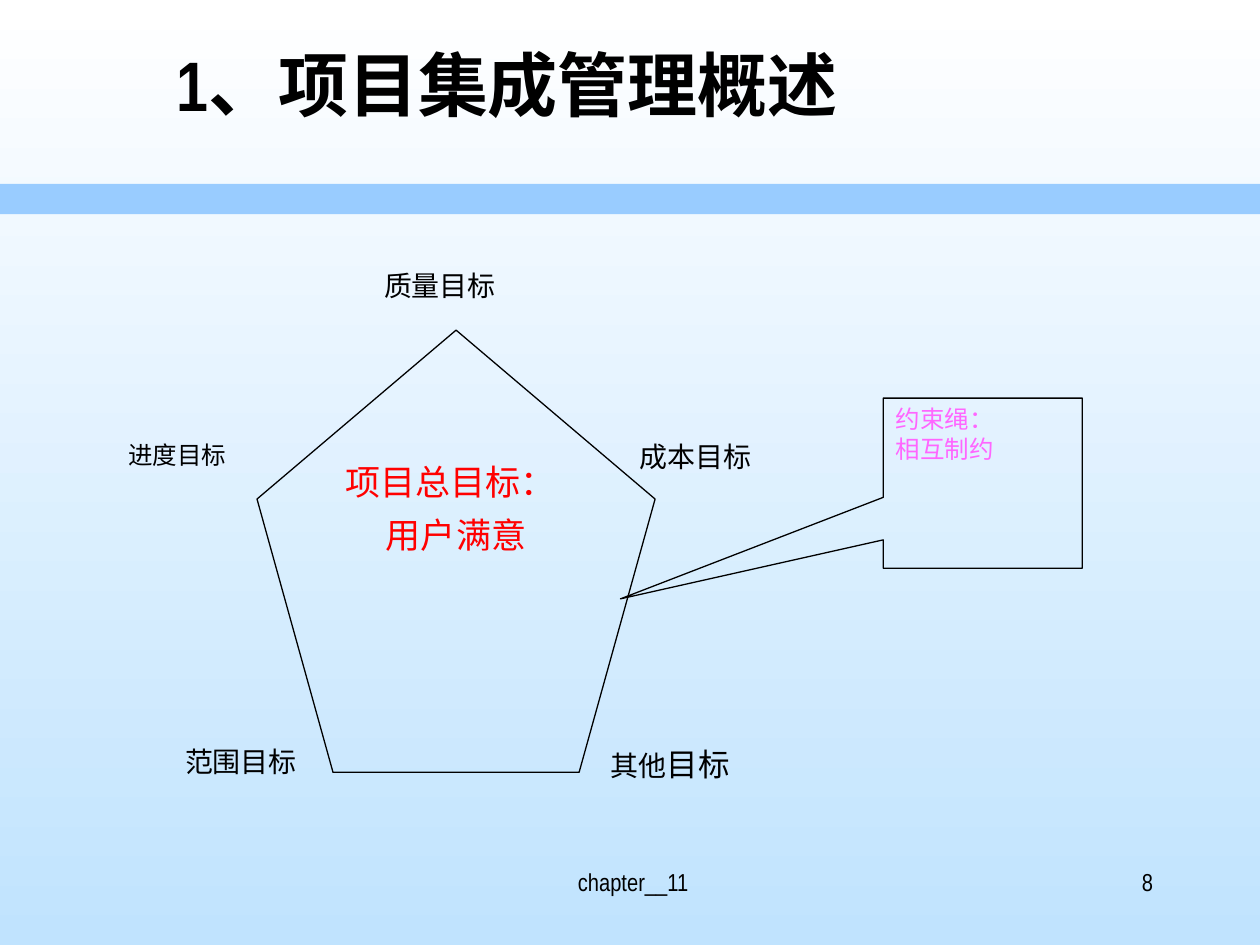
from pptx import Presentation
from pptx.dml.color import RGBColor
from pptx.enum.shapes import MSO_SHAPE as SHAPE
from pptx.enum.text import MSO_ANCHOR as ANCHOR, MSO_AUTO_SIZE as AUTO, PP_ALIGN as ALIGN
from pptx.util import Inches, Pt

COLORS = {
    "black": "000000",
    "white": "FFFFFF",
    "sky": "C0E3FE",
    "band": "99CCFF",
    "goal": "FF0000",
    "rope": "FF66FF",
}
SANS = "Arial Narrow"
SERIF = "Times New Roman"


def rgb(name):
    return RGBColor.from_string(COLORS[name])


def inches(*box):
    return [Inches(v) for v in box]


def write(sp, lines, size, font=SERIF, color="black", align=ALIGN.JUSTIFY, bold=False):
    tf = sp.text_frame
    tf.word_wrap = True
    tf.auto_size = AUTO.NONE
    tf.vertical_anchor = ANCHOR.TOP
    tf.text = "\n".join(lines)
    for p in tf.paragraphs:
        p.alignment = align
        p.font.name = font
        p.font.size = Pt(size)
        p.font.bold = bold
        p.font.color.rgb = rgb(color)
    return tf


def add_text(slide, box, text, size, **style):
    return write(slide.shapes.add_textbox(*inches(*box)), [text], size, **style)


def add_outline(slide, kind, box):
    sp = slide.shapes.add_shape(kind, *inches(*box))
    sp.shadow.inherit = False
    sp.fill.background()
    sp.line.color.rgb = rgb("black")
    sp.line.width = Pt(0.75)
    return sp


def add_background(slide):
    fill = slide.background.fill
    fill.gradient()
    fill.gradient_angle = 270
    for stop, name in zip(fill.gradient_stops, ("white", "sky")):
        stop.color.rgb = rgb(name)


def add_header(slide, box, band_box):
    title = slide.shapes.title
    title.left, title.top, title.width, title.height = inches(*box)
    write(title, ["1、项目集成管理概述"], 40, SANS, align=ALIGN.LEFT, bold=True)
    band = slide.shapes.add_shape(SHAPE.RECTANGLE, *inches(*band_box))
    band.shadow.inherit = False
    band.fill.solid()
    band.fill.fore_color.rgb = rgb("band")
    band.line.fill.background()


def add_goals(slide, box):
    x, y, w, h = box
    labels = [
        ("质量目标", 0.91, -0.54, 16),
        ("进度目标", -1.12, 0.82, 14),
        ("成本目标", 2.94, 0.82, 16),
        ("其他", 2.71, 3.24, 16),
        ("范围目标", -0.67, 3.24, 16),
    ]
    for text, dx, dy, size in labels:
        tf = add_text(slide, (x + dx, y + dy, 1.35, 0.81), text, size)
        if text == "其他":
            r = tf.paragraphs[0].add_run()
            r.text = "目标"
            r.font.size = Pt(18)

    pentagon = add_outline(slide, SHAPE.REGULAR_PENTAGON, box)
    tf = write(pentagon, ["项目总目标：", "用户满意"], 20, color="goal")
    tf.margin_top = Inches(0.21)
    p = tf.paragraphs[1]
    p.alignment = ALIGN.CENTER
    p.space_before = Pt(6)


def add_callout(slide, box):
    sp = add_outline(slide, SHAPE.RECTANGULAR_CALLOUT, box)
    sp.adjustments[0] = -1.82
    sp.adjustments[1] = 0.68
    write(sp, ["约束绳：", "相互制约"], 14, color="rope")


def add_footer(slide, box):
    x, y, w, h = box
    add_text(slide, (x, y, 3.17, h), "chapter__11", 14, font=SANS, align=ALIGN.CENTER)
    add_text(slide, (x + w - 2.08, y, 2.08, h), "8", 14, font=SANS, align=ALIGN.RIGHT)


def main():
    prs = Presentation()
    prs.slide_width, prs.slide_height = inches(10, 7.5)
    slide = prs.slides.add_slide(prs.slide_layouts[5])
    add_background(slide)
    add_header(slide, (1.3, 0.28, 8.37, 1.1), (0, 1.46, 10, 0.24))
    add_footer(slide, (3.44, 6.83, 5.81, 0.5))
    add_goals(slide, (2.04, 2.62, 3.16, 3.51))
    add_callout(slide, (7.01, 3.16, 1.58, 1.35))
    prs.save("out.pptx")


if __name__ == "__main__":
    main()
